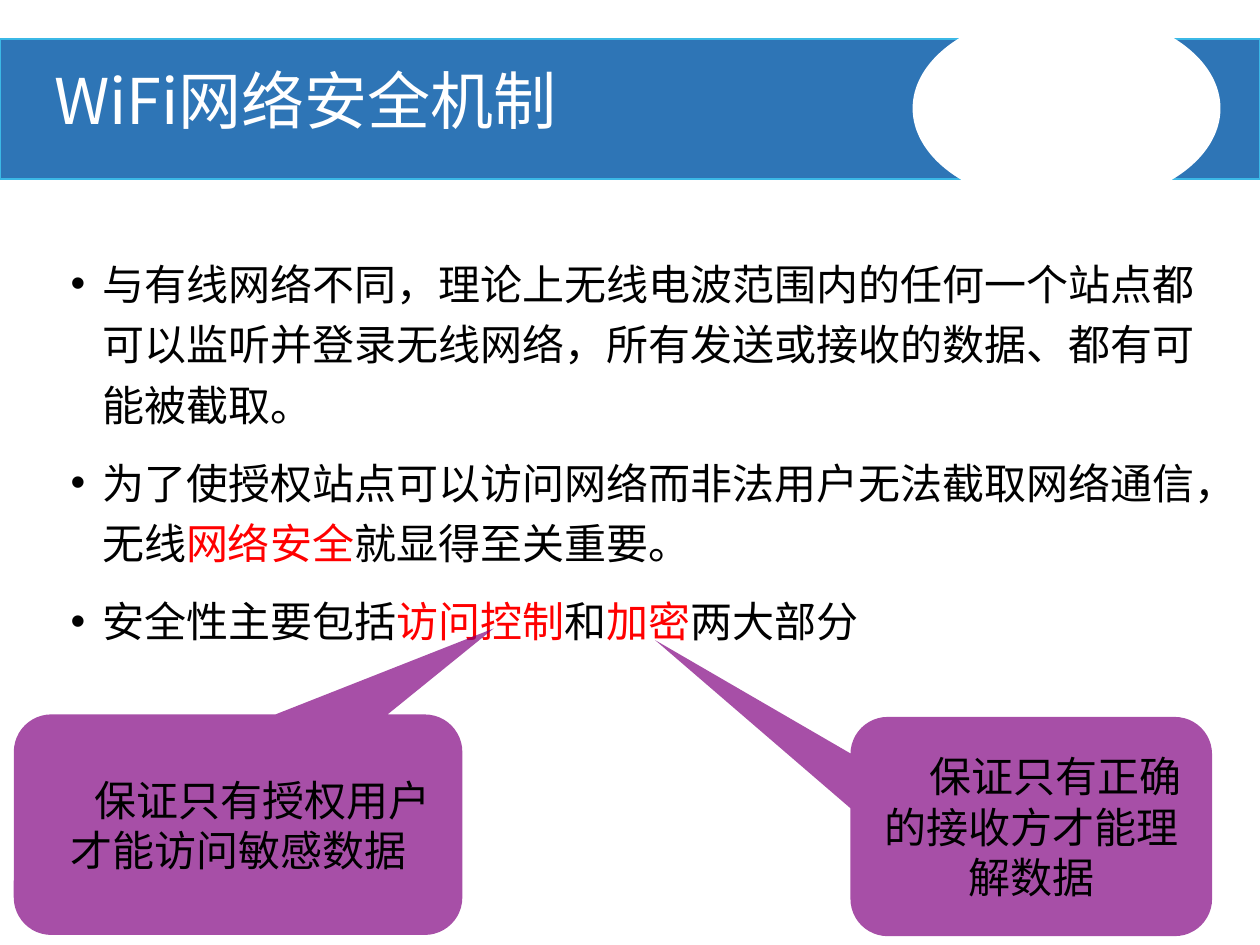
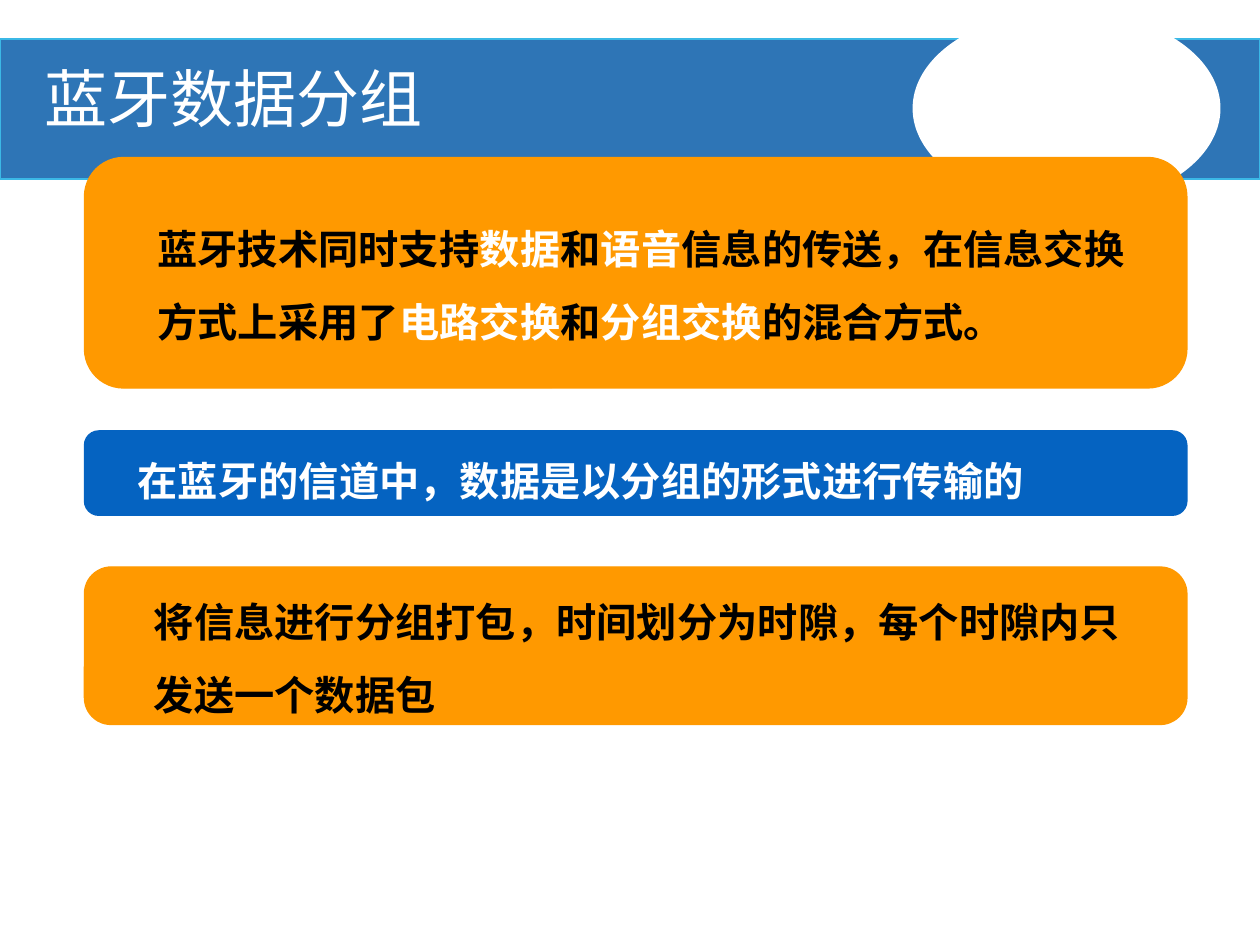
"""Build two slides on WiFi security and Bluetooth data packets."""
from lxml import etree
from pptx import Presentation
from pptx.dml.color import RGBColor
from pptx.enum.lang import MSO_LANGUAGE_ID
from pptx.enum.shapes import MSO_SHAPE
from pptx.enum.text import MSO_ANCHOR, MSO_AUTO_SIZE, PP_ALIGN
from pptx.oxml.ns import qn
from pptx.util import Inches, Pt

RECTANGLE, ELLIPSE = MSO_SHAPE.RECTANGLE, MSO_SHAPE.OVAL
ROUNDED, CALLOUT = MSO_SHAPE.ROUNDED_RECTANGLE, MSO_SHAPE.ROUNDED_RECTANGULAR_CALLOUT
LEFT, CENTER = PP_ALIGN.LEFT, PP_ALIGN.CENTER
TOP, MIDDLE, BOTTOM = MSO_ANCHOR.TOP, MSO_ANCHOR.MIDDLE, MSO_ANCHOR.BOTTOM
CHINESE = MSO_LANGUAGE_ID.SIMPLIFIED_CHINESE
SANS, LATO = "Noto Sans CJK SC", "Lato"
COLORS = {
    "band": "2E75B6", "band_edge": "3BB8E6", "white": "FFFFFF", "black": "000000",
    "red": "FF0000", "purple": "800080", "blue": "0563C1", "orange": "FF9900",
}
FIRST_LINE = 0.39


def add_panel(slide, kind, box, fill, edge=None, edge_width=0.75):
    """Add a flat shape, outlined only if an edge colour is given."""
    panel = slide.shapes.add_shape(kind, *map(Inches, box))
    panel.shadow.inherit = False
    panel.fill.solid()
    panel.fill.fore_color.rgb = RGBColor.from_string(COLORS[fill])
    if edge:
        panel.line.color.rgb = RGBColor.from_string(COLORS[edge])
        panel.line.width = Pt(edge_width)
    else:
        panel.line.fill.background()
    return panel


def write(frame, lines, size, face, color, accent="red", align=LEFT, spacing=1.0,
          before=0, indent=0.0, bullet=None):
    """Write paragraphs; text between asterisks takes the accent colour."""
    for number, line in enumerate(lines):
        paragraph = frame.add_paragraph() if number else frame.paragraphs[0]
        paragraph.alignment = align
        paragraph.line_spacing = spacing
        paragraph.space_before = Pt(before if number else 0)
        properties = paragraph._p.get_or_add_pPr()
        properties.set("marL", str(Inches(max(-indent, 0))))
        properties.set("indent", str(Inches(indent)))
        if bullet:
            etree.SubElement(properties, qn("a:buFont"), typeface="Arial")
            etree.SubElement(properties, qn("a:buChar"), char=bullet)
        font = paragraph.font
        font.size, font.name, font.bold = Pt(size), face, face == LATO
        font.language_id = CHINESE
        font.color.rgb = RGBColor.from_string(COLORS[color])
        etree.SubElement(properties.find(qn("a:defRPr")), qn("a:ea"), typeface=face)
        for part, words in enumerate(line.split("*")):
            run = paragraph.add_run()
            run.text = words
            if part % 2:
                run.font.color.rgb = RGBColor.from_string(COLORS[accent])


prs = Presentation()
prs.slide_width, prs.slide_height = Inches(10), Inches(7.5)
wifi = prs.slides.add_slide(prs.slide_layouts[1])
bluetooth = prs.slides.add_slide(prs.slide_layouts[5])

band = add_panel(wifi, RECTANGLE, (0, 0.31, 10, 1.11), "band", "band_edge", 1)
oval = add_panel(wifi, ELLIPSE, (7.25, 0.09, 2.43, 1.54), "white", "white", 1)
for order, decoration in enumerate((band, oval)):
    decoration.element.nvSpPr.cNvPr.set("id", str(20 + order))
    prs.slide_master.shapes.element.insert(2 + order, decoration.element)

for slide, heading, left, top in (
    (wifi, "WiFi网络安全机制", 0.33, 0.51),
    (bluetooth, "蓝牙数据分组", 0.25, 0.49),
):
    title = slide.shapes.title
    title.left, title.top, title.width, title.height = map(Inches, (left, top, 6.57, 0.64))
    title.text_frame.vertical_anchor = TOP
    title.text_frame.auto_size = MSO_AUTO_SIZE.SHAPE_TO_FIT_TEXT
    write(title.text_frame, [heading], 36, SANS, "white", spacing=0.9)

risks = wifi.placeholders[1]
risks.left, risks.top, risks.width, risks.height = map(Inches, (0.46, 1.92, 9.33, 5.58))
risks.text_frame.auto_size = MSO_AUTO_SIZE.NONE
write(risks.text_frame, [
    "与有线网络不同，理论上无线电波范围内的任何一个站点都可以监听并登录无线网络，所有发送或接收的数据、都有可能被截取。",
    "为了使授权站点可以访问网络而非法用户无法截取网络通信，无线*网络安全*就显得至关重要。",
    "安全性主要包括*访问控制*和*加密*两大部分",
], 24, SANS, "black", spacing=1.2, before=10, indent=-0.25, bullet="•")

for explanation, box, pointer in (
    ("保证只有授权用户才能访问敏感数据", (0.11, 5.67, 3.56, 1.75), (0.57, -0.89)),
    ("保证只有正确的接收方才能理解数据", (6.75, 5.69, 2.87, 1.74), (-1.04, -0.85)),
):
    callout = add_panel(wifi, CALLOUT, box, "purple")
    for index, value in enumerate((*pointer, 0.17)):
        callout.adjustments[index] = value
    tint = callout.element.spPr.find(f"{qn('a:solidFill')}/{qn('a:srgbClr')}")
    etree.SubElement(tint, qn("a:alpha"), val="69000")
    callout.text_frame.vertical_anchor = MIDDLE
    write(callout.text_frame, [explanation], 24, SANS, "black", align=CENTER,
          indent=FIRST_LINE)

for lines, top, height, fill, ink, anchor, spacing, inset in (
    (["蓝牙技术同时支持*数据*和*语音*信息的传送，在信息交换",
      "方式上采用了*电路交换*和*分组交换*的混合方式。"],
     1.25, 1.83, "orange", "black", MIDDLE, 1.5, 0.1),
    (["在蓝牙的信道中，数据是以分组的形式进行传输的"],
     3.42, 0.67, "blue", "white", BOTTOM, 2.0, 0),
    (["将信息进行分组打包，时间划分为时隙，每个时隙内只", "发送一个数据包"],
     4.5, 1.25, "orange", "black", MIDDLE, 1.5, 0.1),
):
    statement = add_panel(bluetooth, ROUNDED, (0.67, top, 8.75, height), fill, fill)
    statement.adjustments[0] = 0.17
    frame = statement.text_frame
    frame.word_wrap = False
    frame.vertical_anchor = anchor
    frame.margin_left = frame.margin_right = Inches(inset)
    write(frame, lines, 23, LATO, ink, accent="white", spacing=spacing, indent=FIRST_LINE)

prs.save("out.pptx")
